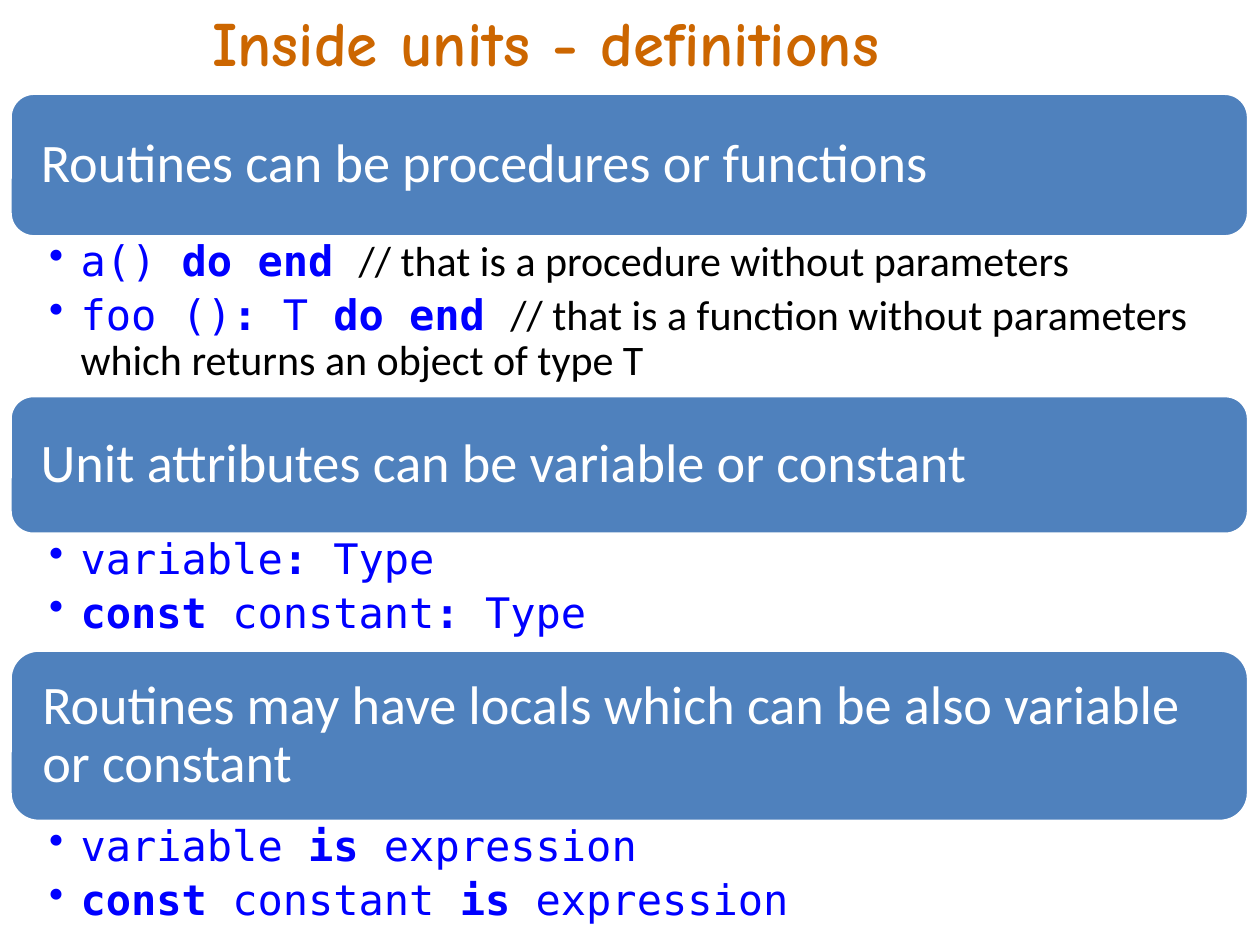
"""Build a slide on the definitions found inside units."""
import pptx
import pptx.util
import pptx.dml.color
import pptx.enum.shapes
import pptx.enum.text
import pptx.oxml
from pptx.util import Inches


def color(value):
    return pptx.dml.color.RGBColor.from_string(value)


def add_span(para, text, style):
    span = para.add_run()
    span.text = text
    for name, value in style.items():
        if name == "color":
            span.font.color.rgb = color(value)
        else:
            setattr(span.font, name, value)


ANCHOR = pptx.enum.text.MSO_ANCHOR
ALIGN = pptx.enum.text.PP_ALIGN
TITLE = {"name": "Comic Neue", "size": pptx.util.Pt(36), "bold": True, "color": "CC6600"}
HEADING = {"name": "Calibri", "size": pptx.util.Pt(31), "color": "FFFFFF"}
CODE = {"name": "DejaVu Sans Mono", "size": pptx.util.Pt(24), "bold": False, "color": "0000FF"}
KEYWORD = {**CODE, "bold": True}
NOTE = {**CODE, "name": "Calibri", "color": "000000"}
HEADING_FRAME = {"word_wrap": True, "vertical_anchor": ANCHOR.MIDDLE,
                 "margin_left": Inches(0.19), "margin_right": Inches(0.19),
                 "margin_top": Inches(0.13), "margin_bottom": Inches(0.13)}
LIST_FRAME = {"word_wrap": True, "vertical_anchor": ANCHOR.TOP,
              "margin_left": Inches(0.31), "margin_right": Inches(0.19),
              "margin_top": Inches(0.03), "margin_bottom": Inches(0.03)}
HEADING_PARA = {"alignment": ALIGN.LEFT, "line_spacing": 0.9}
LIST_PARA = {"line_spacing": 0.9, "space_after": pptx.util.Pt(4.8)}
LEFT, WIDTH = Inches(0.08), Inches(9.83)

sections = [
    ("Routines can be procedures or functions", 1.14, 1.26, [
        [("a() ", CODE), ("do end ", KEYWORD),
         ("// that is a procedure without parameters", NOTE)],
        [("foo ()", CODE), (": ", KEYWORD), ("T ", CODE), ("do end ", KEYWORD),
         ("// that is a function without parameters which returns an object of type T", NOTE)],
    ]),
    ("Unit attributes can be variable or constant", 1.1, 0.92, [
        [("variable", CODE), (":", KEYWORD), (" Type", CODE)],
        [("const", KEYWORD), (" constant", CODE), (":", KEYWORD), (" Type", CODE)],
    ]),
    ("Routines may have locals which can be also variable or constant", 1.36, 0.92, [
        [("variable ", CODE), ("is", KEYWORD), (" expression", CODE)],
        [("const", KEYWORD), (" constant ", CODE), ("is", KEYWORD), (" expression", CODE)],
    ]),
]

deck = pptx.Presentation()
deck.slide_width, deck.slide_height = Inches(10), Inches(7.5)
page = deck.slides.add_slide(deck.slide_layouts[6])

top = Inches(0.74)
for heading, bar_height, list_height, items in sections:
    bar = page.shapes.add_shape(pptx.enum.shapes.MSO_SHAPE.ROUNDED_RECTANGLE,
                                LEFT, top, WIDTH, Inches(bar_height))
    bar.shadow.inherit = False
    bar.fill.solid()
    bar.fill.fore_color.rgb = color("4F81BD")
    bar.line.color.rgb = color("FFFFFF")
    bar.line.width = pptx.util.Pt(2)
    for name, value in HEADING_FRAME.items():
        setattr(bar.text_frame, name, value)
    para = bar.text_frame.paragraphs[0]
    for name, value in HEADING_PARA.items():
        setattr(para, name, value)
    add_span(para, heading, HEADING)
    top += Inches(bar_height)

    box = page.shapes.add_textbox(LEFT, top, WIDTH, Inches(list_height))
    for name, value in LIST_FRAME.items():
        setattr(box.text_frame, name, value)
    for index, spans in enumerate(items):
        para = box.text_frame.add_paragraph() if index else box.text_frame.paragraphs[0]
        para.level = 1
        for name, value in LIST_PARA.items():
            setattr(para, name, value)
        layout = para._p.get_or_add_pPr()
        layout.set("marL", str(Inches(0.25)))
        layout.set("indent", str(Inches(-0.25)))
        layout.append(pptx.oxml.parse_xml(
            '<a:buChar xmlns:a="http://schemas.openxmlformats.org/drawingml/2006/main" char="•"/>'))
        for text, style in spans:
            add_span(para, text, style)
    top += Inches(list_height)

title = page.shapes.add_textbox(Inches(0.5), Inches(-0.02), Inches(7.66), Inches(0.7))
title.text_frame.word_wrap = True
para = title.text_frame.paragraphs[0]
para.alignment = ALIGN.CENTER
add_span(para, "Inside units - definitions", TITLE)

deck.save("out.pptx")
